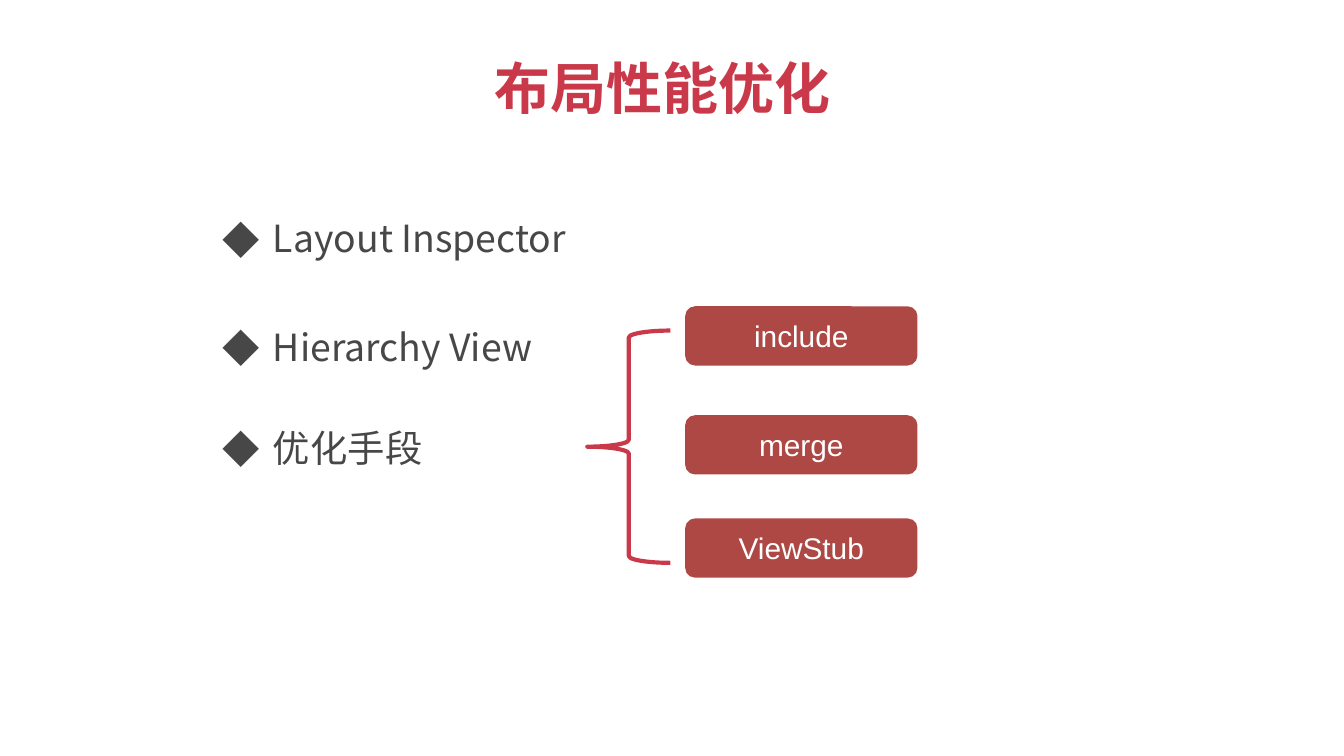
from dataclasses import dataclass

from lxml.etree import SubElement
from pptx import Presentation
from pptx.dml.color import RGBColor
from pptx.enum.shapes import MSO_SHAPE
from pptx.enum.text import MSO_ANCHOR, PP_ALIGN
from pptx.oxml.ns import qn
from pptx.slide import Slide
from pptx.text.text import TextFrame, _Paragraph
from pptx.util import Cm, Pt


@dataclass(frozen=True)
class TextStyle:
    name: str
    size: float
    color: str
    bold: bool = False


@dataclass(frozen=True)
class Theme:
    accent: str = "C9394A"
    button_fill: str = "AE4845"
    brace_width: float = 2.25
    title: TextStyle = TextStyle("Noto Sans CJK SC", 30, "C9394A", True)
    bullet: TextStyle = TextStyle("Noto Sans CJK SC", 20, "474747")
    button: TextStyle = TextStyle("Arial", 16, "FFFFFF")


@dataclass(frozen=True)
class Box:
    """Position and size in centimetres."""
    left: float
    top: float
    width: float
    height: float

    def lengths(self) -> tuple[Cm, ...]:
        return tuple(Cm(value) for value in (self.left, self.top, self.width, self.height))


@dataclass(frozen=True)
class Row:
    text: str
    top: float


THEME = Theme()
ROW_HEIGHT = 1.12
TITLE_BOX = Box(1.09, 0.94, 22.86, 1.42)
BRACE_BOX = Box(11.1, 6.25, 1.57, 4.39)
BULLETS = (Row("Layout Inspector", 3.94), Row("Hierarchy View", 5.99), Row("优化手段", 7.9))
BUTTONS = (Row("include", 5.79), Row("merge", 7.85), Row("ViewStub", 9.8))


def write_text(frame: TextFrame, text: str, style: TextStyle, alignment: PP_ALIGN) -> _Paragraph:
    frame.word_wrap = True
    frame.vertical_anchor = MSO_ANCHOR.MIDDLE
    paragraph = frame.paragraphs[0]
    paragraph.alignment = alignment
    run = paragraph.add_run()
    run.text = text
    font_format = {"name": style.name, "size": Pt(style.size), "bold": style.bold}
    for attribute, value in font_format.items():
        setattr(run.font, attribute, value)
    run.font.color.rgb = RGBColor.from_string(style.color)
    SubElement(run.font._element, qn("a:ea"), typeface=style.name)
    return paragraph


def add_diamond_bullet(paragraph: _Paragraph) -> None:
    properties = paragraph._p.get_or_add_pPr()
    for attribute, value in {"marL": Cm(2.22), "indent": Cm(-0.95), "lvl": 1}.items():
        properties.set(attribute, str(int(value)))
    SubElement(properties, qn("a:buFont"), typeface=THEME.bullet.name)
    SubElement(properties, qn("a:buChar"), char="◆")


def add_text(slide: Slide, box: Box, text: str, style: TextStyle,
             alignment: PP_ALIGN) -> _Paragraph:
    shape = slide.shapes.add_textbox(*box.lengths())
    return write_text(shape.text_frame, text, style, alignment)


def add_brace(slide: Slide, box: Box) -> None:
    shape = slide.shapes.add_shape(MSO_SHAPE.LEFT_BRACE, *box.lengths())
    shape.shadow.inherit = False
    shape.fill.background()
    shape.line.color.rgb = RGBColor.from_string(THEME.accent)
    shape.line.width = Pt(THEME.brace_width)


def add_button(slide: Slide, row: Row) -> None:
    box = Box(12.95, row.top, 4.39, ROW_HEIGHT)
    shape = slide.shapes.add_shape(MSO_SHAPE.ROUNDED_RECTANGLE, *box.lengths())
    shape.shadow.inherit = False
    shape.fill.solid()
    shape.fill.fore_color.rgb = RGBColor.from_string(THEME.button_fill)
    shape.line.fill.background()
    write_text(shape.text_frame, row.text, THEME.button, PP_ALIGN.CENTER)


def main() -> None:
    presentation = Presentation()
    presentation.slide_width = Cm(25.4)
    presentation.slide_height = Cm(14.29)
    slide = presentation.slides.add_slide(presentation.slide_layouts[6])

    add_text(slide, TITLE_BOX, "布局性能优化", THEME.title, PP_ALIGN.CENTER)
    for row in BULLETS:
        box = Box(2.69, row.top, 23.8, ROW_HEIGHT)
        paragraph = add_text(slide, box, row.text, THEME.bullet, PP_ALIGN.LEFT)
        add_diamond_bullet(paragraph)
    add_brace(slide, BRACE_BOX)
    for row in BUTTONS:
        add_button(slide, row)

    presentation.save("out.pptx")


if __name__ == "__main__":
    main()
